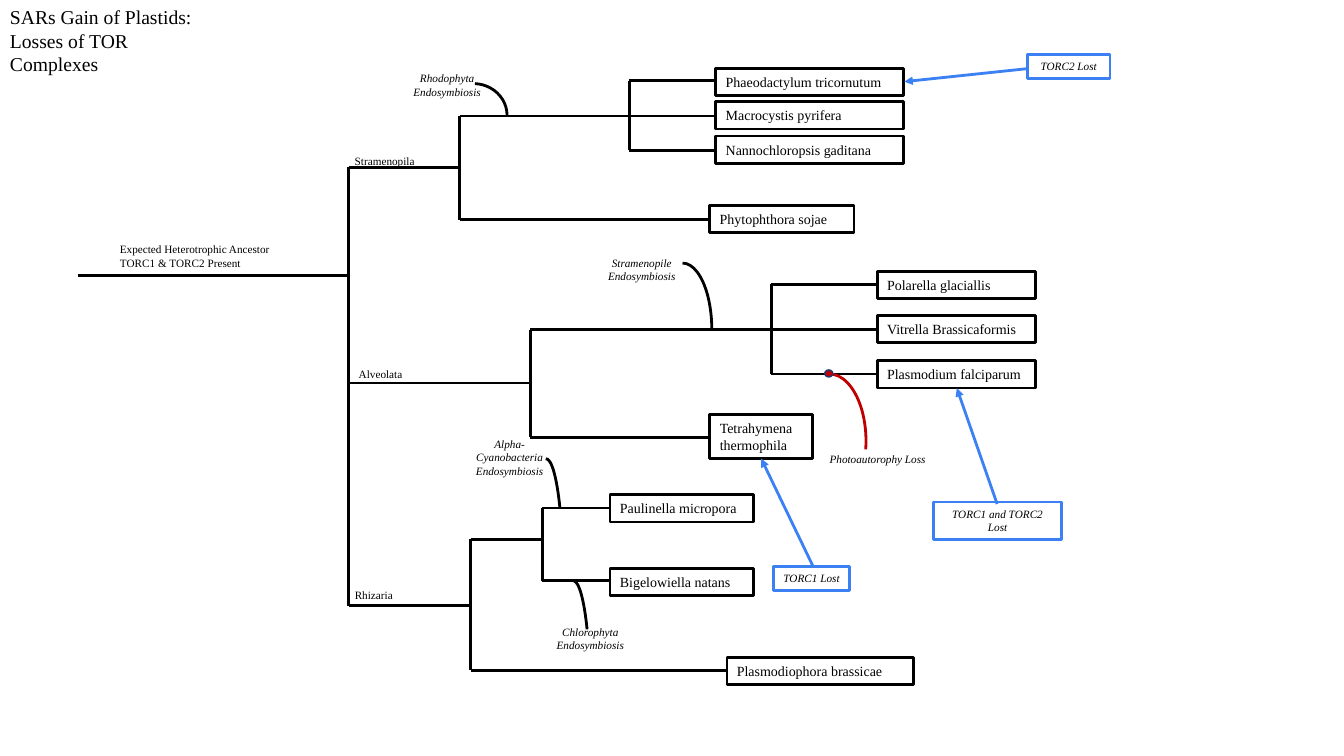
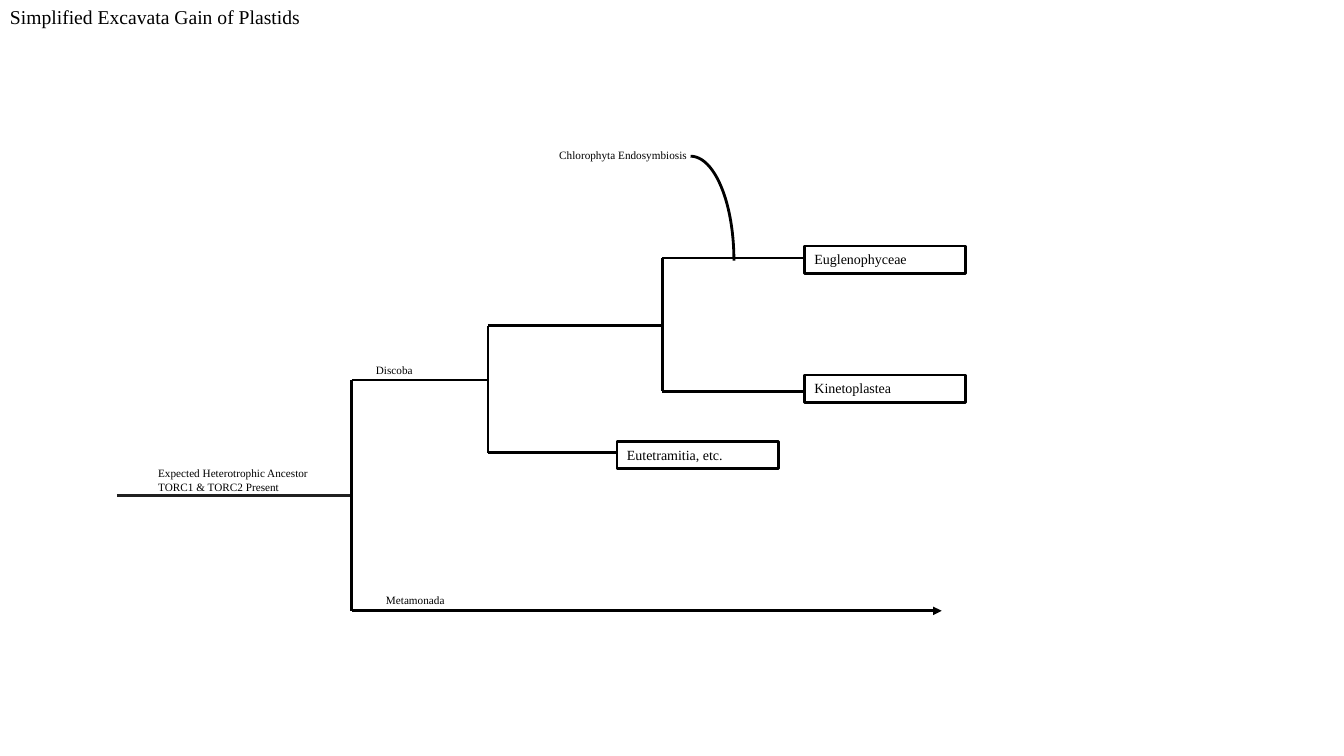
from dataclasses import dataclass

from lxml.etree import SubElement
from pptx import Presentation
from pptx.dml.color import RGBColor as RGB
from pptx.enum.shapes import MSO_CONNECTOR as CONN, MSO_SHAPE as SHAPE
from pptx.enum.text import MSO_ANCHOR as ANCHOR, PP_ALIGN as ALIGN
from pptx.oxml.ns import qn
from pptx.util import Inches, Pt


@dataclass(frozen=True)
class Theme:
    font: str = "Times New Roman"
    ink: str = "000000"
    root: str = "202020"
    lost: str = "3C81F3"
    red: str = "C00000"
    navy: str = "1D3A6B"
    title: int = 14
    species: int = 10
    label: int = 8
    stroke: int = 2
    thin: int = 1


T = Theme()
ROW = 0.27
ANCESTOR = "Expected Heterotrophic Ancestor\nTORC1 & TORC2 Present"


def place(*lengths):
    return [Inches(n) for n in lengths]


def set_line(sp, color, width=T.stroke):
    sp.line.color.rgb = RGB.from_string(color)
    sp.line.width = Pt(width)


def set_text(sp, text, size, italic=False, center=False):
    tf = sp.text_frame
    tf.word_wrap = True
    tf.vertical_anchor = ANCHOR.TOP
    tf.text = text
    for p in tf.paragraphs:
        p.alignment = ALIGN.CENTER if center else ALIGN.LEFT
        for r in p.runs:
            r.font.name = T.font
            r.font.size = Pt(size)
            r.font.italic = italic
            r.font.color.rgb = RGB.from_string(T.ink)


def add_label(s, text, x, y, w, h=0.24, size=T.label, **style):
    set_text(s.shapes.add_textbox(*place(x, y, w, h)), text, size, **style)


def add_title(s, text, w, h):
    add_label(s, text, 0, 0, w, h, T.title)


def add_event(s, text, x, y, w, h=0.37, italic=True):
    add_label(s, text, x, y, w, h, italic=italic, center=True)


def add_outline(s, kind, x, y, w, h, color):
    sp = s.shapes.add_shape(kind, *place(x, y, w, h))
    sp.shadow.inherit = False
    sp.fill.background()
    set_line(sp, color)
    return sp


def add_species(s, text, x, y, w, h=ROW):
    sp = add_outline(s, SHAPE.RECTANGLE, x, y, w, h, T.ink)
    set_text(sp, text, T.species)


def add_loss(s, text, x, y, w, h, start, end):
    add_branch(s, *start, *end, T.lost, arrow=True)
    sp = add_outline(s, SHAPE.RECTANGLE, x, y, w, h, T.lost)
    set_text(sp, text, T.label, italic=True, center=True)


def add_arc(s, x, y, w, h, start=162, end=0, color=T.ink):
    sp = add_outline(s, SHAPE.ARC, x, y, w, h, color)
    sp.adjustments[0] = start
    sp.adjustments[1] = end


def add_dot(s, x, y, w, h):
    sp = add_outline(s, SHAPE.OVAL, x, y, w, h, T.navy)
    sp.fill.solid()
    sp.fill.fore_color.rgb = RGB.from_string(T.red)
    sp.line.width = Pt(T.thin)


def add_branch(s, x1, y1, x2, y2, color=T.ink, arrow=False):
    c = s.shapes.add_connector(CONN.STRAIGHT, *place(x1, y1, x2, y2))
    set_line(c, color)
    props = c._element.spPr
    if arrow:
        SubElement(props.find(qn("a:ln")), qn("a:tailEnd"), type="triangle")
    SubElement(props, qn("a:effectLst"))


def add_fork(s, x, *tips, arrow_y=None):
    add_branch(s, x, tips[0][0], x, tips[-1][0])
    for y, end in tips:
        add_branch(s, x, y, end, y, arrow=y == arrow_y)


def build_sar(s):
    add_title(s, "SARs Gain of Plastids:\nLosses of TOR Complexes", 2.28, 1.41)
    add_branch(s, 0.77, 2.73, 3.46, 2.73)
    forks = [
        (3.46, (1.66, 4.56), (3.8, 5.26), (6.01, 4.67)),
        (4.56, (1.15, 6.24), (2.18, 7.04)),
        (6.24, (0.8, 7.1), (1.15, 7.1), (1.49, 7.1)),
        (5.26, (3.27, 7.65), (4.34, 7.04)),
        (7.65, (2.82, 8.7), (3.27, 8.7), (3.71, 8.7)),
        (4.67, (5.35, 5.38), (6.65, 7.21)),
        (5.38, (5.04, 6.05), (5.76, 6.05)),
    ]
    for fork in forks:
        add_fork(s, *fork)

    columns = [
        (7.1, 1.86, [("Phaeodactylum tricornutum", 0.68),
                     ("Macrocystis pyrifera", 1.01),
                     ("Nannochloropsis gaditana", 1.35)]),
        (7.04, 1.43, [("Phytophthora sojae", 2.04)]),
        (8.7, 1.57, [("Polarella glaciallis", 2.69),
                     ("Vitrella Brassicaformis", 3.13),
                     ("Plasmodium falciparum", 3.58)]),
        (6.05, 1.42, [("Paulinella micropora", 4.91),
                      ("Bigelowiella natans", 5.64)]),
        (7.21, 1.85, [("Plasmodiophora brassicae", 6.52)]),
    ]
    for x, w, names in columns:
        for name, y in names:
            add_species(s, name, x, y, w)
    add_species(s, "Tetrahymena thermophila", 7.04, 4.11, 1.02, 0.44)

    add_label(s, ANCESTOR, 1.09, 2.36, 2.39, 0.37)
    add_label(s, "Stramenopila", 3.42, 1.48, 1.43)
    add_label(s, "Alveolata", 3.46, 3.6, 1.43)
    add_label(s, "Rhizaria", 3.42, 5.79, 1.09)

    add_arc(s, 4.36, 0.83, 0.67, 0.63, start=163.8)
    add_arc(s, 6.48, 2.61, 0.58, 1.32)
    add_arc(s, 7.86, 3.71, 0.73, 1.33, end=7.76, color=T.red)
    add_arc(s, 5.25, 4.55, 0.33, 2.12, end=170.1)
    add_arc(s, 5.52, 5.76, 0.33, 2.12, end=170.1)
    add_dot(s, 8.18, 3.67, 0.08, 0.07)
    add_event(s, "Rhodophyta Endosymbiosis", 3.86, 0.66, 1.15)
    add_event(s, "Stramenopile Endosymbiosis", 5.89, 2.49, 0.95)
    add_event(s, "Photoautorophy Loss", 7.92, 4.44, 1.57, 0.24)
    add_event(s, "Alpha-Cyanobacteria Endosymbiosis", 4.51, 4.29, 1.09, 0.5)
    add_event(s, "Chlorophyta Endosymbiosis", 5.31, 6.15, 1.09)

    add_loss(s, "TORC2 Lost", 10.19, 0.54, 0.82, 0.24, (10.2, 0.68), (8.97, 0.81))
    add_loss(s, "TORC1 and TORC2 Lost", 9.26, 4.98, 1.27, 0.37, (9.89, 5), (9.49, 3.85))
    add_loss(s, "TORC1 Lost", 7.67, 5.62, 0.76, 0.24, (8.06, 5.61), (7.55, 4.55))


def build_excavata(s):
    add_title(s, "Simplified Excavata Gain of Plastids", 3.62, 0.34)
    add_branch(s, 1.16, 4.92, 3.49, 4.92, T.root)
    add_fork(s, 3.49, (3.77, 4.84), (6.06, 9.34), arrow_y=6.06)
    add_fork(s, 4.84, (3.23, 6.57), (4.49, 6.12))
    add_fork(s, 6.57, (2.56, 7.98), (3.88, 7.98))
    species = [
        ("Euglenophyceae", 7.98, 2.44),
        ("Kinetoplastea", 7.98, 3.72),
        ("Eutetramitia, etc.", 6.12, 4.38),
    ]
    for name, x, y in species:
        add_species(s, name, x, y, 1.6)
    add_label(s, ANCESTOR, 1.47, 4.58, 2.26, 0.37)
    add_label(s, "Discoba", 3.63, 3.56, 0.86)
    add_label(s, "Metamonada", 3.73, 5.84, 0.86)
    add_arc(s, 6.42, 1.55, 0.86, 2.07)
    add_event(s, "Chlorophyta Endosymbiosis", 5.39, 1.42, 1.58, 0.24, italic=False)


def main():
    prs = Presentation()
    prs.slide_width, prs.slide_height = place(13.33, 7.5)
    for build in (build_sar, build_excavata):
        build(prs.slides.add_slide(prs.slide_layouts[6]))
    prs.save("out.pptx")


if __name__ == "__main__":
    main()
